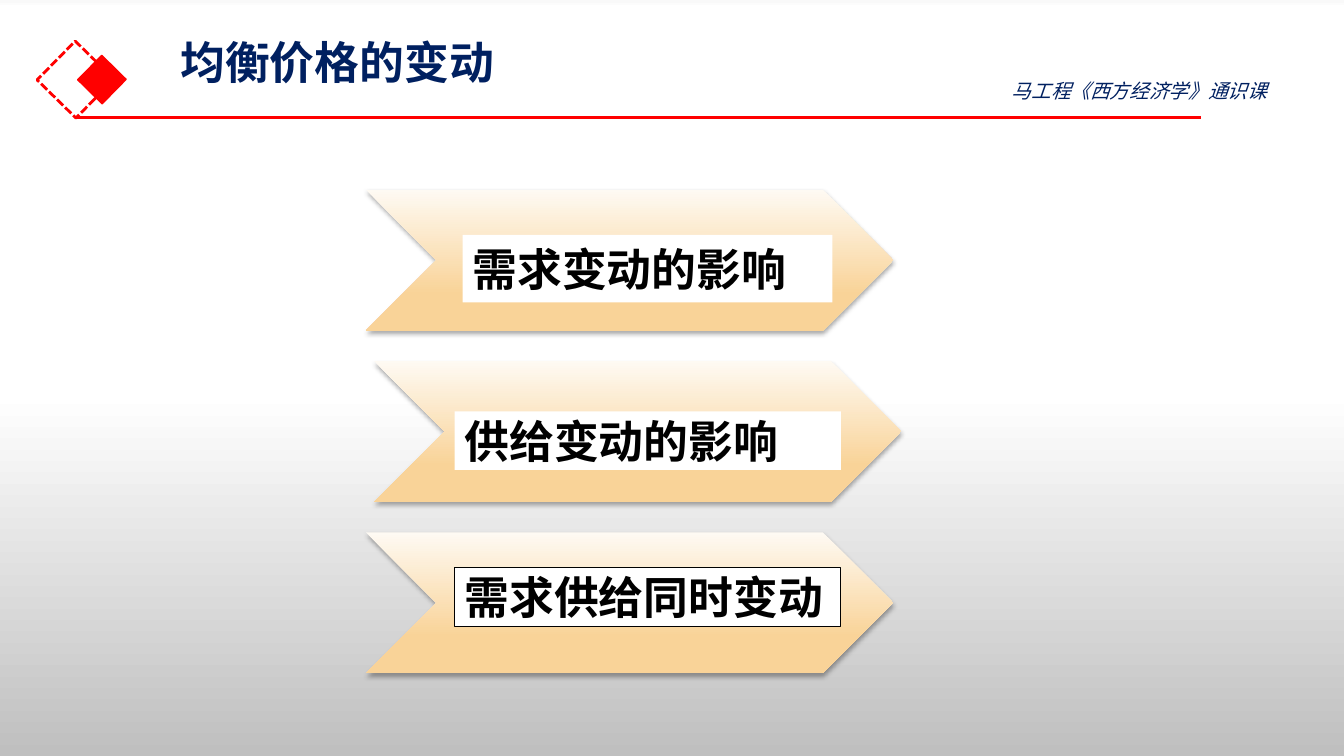
from lxml.etree import SubElement
from pptx import Presentation
from pptx.dml.color import RGBColor
from pptx.enum.dml import MSO_LINE
from pptx.enum.shapes import MSO_CONNECTOR, MSO_SHAPE
from pptx.enum.text import MSO_ANCHOR, PP_ALIGN
from pptx.oxml.ns import qn
from pptx.util import Pt

COLORS = {
    "navy": "002060", "red": "FF0000", "black": "000000", "white": "FFFFFF",
    "mist": "F9F9F9", "gray": "BFBFBF", "cream": "FEFAF3", "apricot": "F9D398",
}
HEADING_FONT = "Noto Sans CJK SC"
LABEL_FONT = "Calibri"
CHEVRON_PITCH = 122.4
TOPICS = [
    ("需求变动的影响", 0, (69.1, 32.4, 264.2, 48.2), False),
    ("供给变动的影响", 5.8, (57.6, 36, 275.8, 41.8), False),
    ("需求供给同时变动", 0, (63.4, 25.2, 275.8, 41.8), True),
]


def color(name):
    """Return the named colour."""
    return RGBColor.from_string(COLORS[name])


def fill_gradient(fill, properties, stops):
    """Fill from top to bottom with (percent, colour name) stops."""
    fill.gradient()
    fill.gradient_angle = 270
    stop_list = properties.find(".//" + qn("a:gsLst"))
    for old_stop in list(stop_list):
        stop_list.remove(old_stop)
    for percent, name in stops:
        stop = SubElement(stop_list, qn("a:gs"), pos=str(percent * 1000))
        SubElement(stop, qn("a:srgbClr"), val=COLORS[name])


def add_drop_shadow(shape):
    """Give a shape a soft shadow straight below it."""
    effects = SubElement(shape._element.spPr, qn("a:effectLst"))
    shadow = SubElement(effects, qn("a:outerShdw"), blurRad=str(Pt(3.5)),
                        dist=str(Pt(2.2)), dir="5400000", algn="t", rotWithShape="0")
    tint = SubElement(shadow, qn("a:srgbClr"), val=COLORS["black"])
    SubElement(tint, qn("a:alpha"), val="32000")


def add_plain_shape(slide, kind, box, fill=None, line=None, width=1):
    """Add a shadowless preset shape with optional fill and line."""
    shape = slide.shapes.add_shape(kind, *map(Pt, box))
    shape.shadow.inherit = False
    if fill:
        shape.fill.solid()
        shape.fill.fore_color.rgb = color(fill)
    else:
        shape.fill.background()
    if line:
        shape.line.color.rgb = color(line)
        shape.line.width = Pt(width)
    else:
        shape.line.fill.background()
    return shape


def write(frame, text, size, font, name, bold=False, italic=False):
    """Write one left-aligned paragraph and return it."""
    frame.word_wrap = True
    paragraph = frame.paragraphs[0]
    paragraph.text = text
    paragraph.alignment = PP_ALIGN.LEFT
    paragraph.font.size = Pt(size)
    paragraph.font.name = font
    paragraph.font.bold = bold
    paragraph.font.italic = italic
    paragraph.font.color.rgb = color(name)
    return paragraph


def add_header(slide, left, top):
    """Draw the diamonds, rule, title and course name."""
    outline = add_plain_shape(slide, MSO_SHAPE.RECTANGLE,
                              (left, top + 8.6, 38.9, 38.9), line="red", width=2)
    outline.line.dash_style = MSO_LINE.SQUARE_DOT
    core = add_plain_shape(slide, MSO_SHAPE.RECTANGLE,
                           (left + 26, top + 15.8, 24.5, 24.5), "red", "red")
    for diamond in (outline, core):
        diamond.rotation = 314.5

    rule = slide.shapes.add_connector(MSO_CONNECTOR.STRAIGHT, Pt(left + 19.4), Pt(top + 55.4),
                                      Pt(left + 823.6), Pt(top + 55.4))
    rule.line.color.rgb = color("red")
    rule.line.width = Pt(2.25)
    SubElement(rule._element.spPr, qn("a:effectLst"))

    title = slide.shapes.add_textbox(Pt(left + 87.1), Pt(top), Pt(828), Pt(68.4)).text_frame
    title.margin_top = 0
    write(title, "均衡价格的变动", 32, HEADING_FONT, "navy", bold=True).line_spacing = 0.9

    course = slide.shapes.add_textbox(Pt(left + 681.1), Pt(top + 23.8), Pt(233.3), Pt(24.5))
    write(course.text_frame, "马工程《西方经济学》通识课", 14, HEADING_FONT, "navy", italic=True)


def add_topic(slide, left, top, text, label_box, outlined):
    """Draw one chevron with its label plate."""
    chevron = add_plain_shape(slide, MSO_SHAPE.CHEVRON, (left, top, 376.6, 100.8))
    fill_gradient(chevron.fill, chevron._element.spPr,
                  [(0, "cream"), (74, "apricot"), (83, "apricot")])
    chevron.shadow.inherit = True
    add_drop_shadow(chevron)

    x, y, width, height = label_box
    label = add_plain_shape(slide, MSO_SHAPE.RECTANGLE, (left + x, top + y, width, height),
                            "white", "black" if outlined else None, 0.75)
    label.text_frame.vertical_anchor = MSO_ANCHOR.MIDDLE
    write(label.text_frame, text, 32, LABEL_FONT, "black", bold=True)


def add_topics(slide, left, top):
    """Stack the topic chevrons at an equal pitch."""
    for row, (text, shift, label_box, outlined) in enumerate(TOPICS):
        add_topic(slide, left + shift, top + row * CHEVRON_PITCH, text, label_box, outlined)


def main():
    """Build and save the slide."""
    deck = Presentation()
    deck.slide_width, deck.slide_height = Pt(960), Pt(540)
    slide = deck.slides.add_slide(deck.slide_layouts[6])
    fill_gradient(slide.background.fill, slide._element.cSld,
                  [(0, "mist"), (1, "white"), (52, "white"), (100, "gray")])
    add_header(slide, 34.6, 28.8)
    add_topics(slide, 261.4, 135.4)
    deck.save("out.pptx")


if __name__ == "__main__":
    main()
